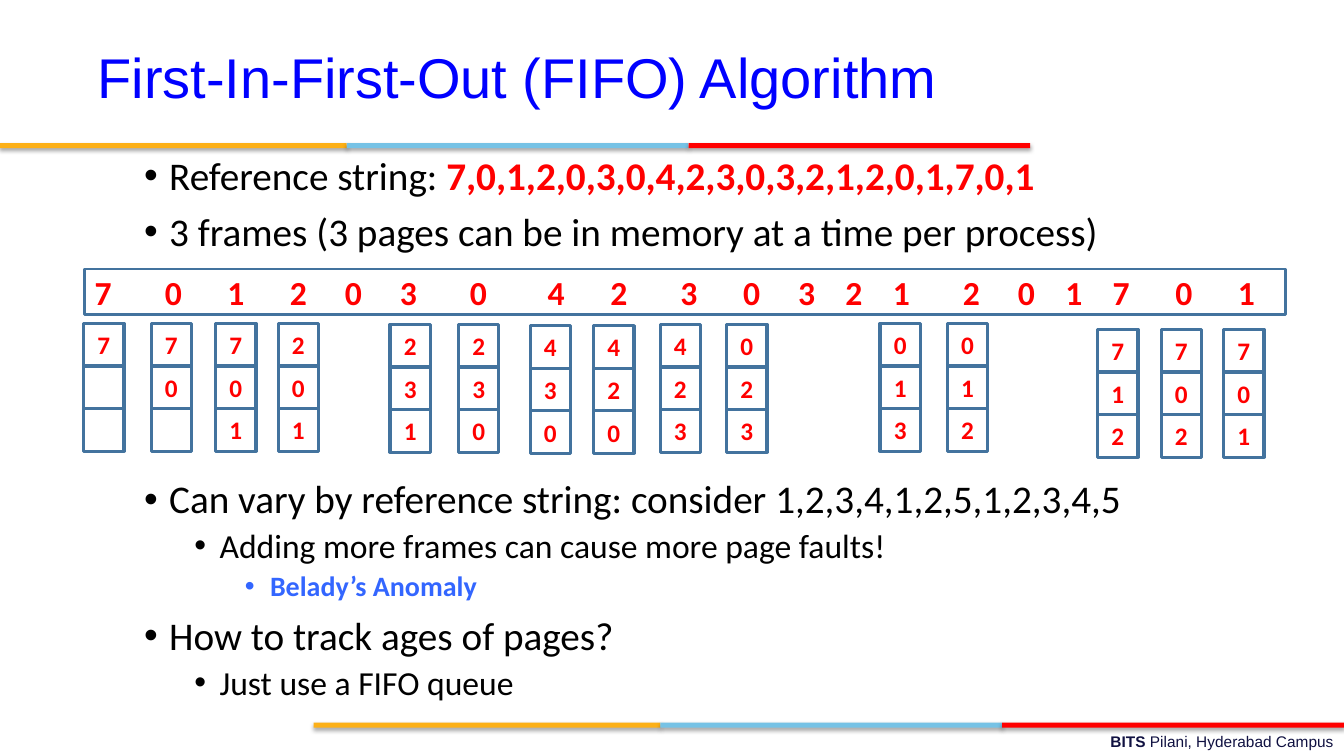
"""Builds the slide on the FIFO page replacement algorithm."""
from lxml import etree
from pptx import Presentation
from pptx.dml.color import RGBColor
from pptx.enum.shapes import MSO_SHAPE
from pptx.enum.text import MSO_ANCHOR, PP_ALIGN
from pptx.oxml import parse_xml
from pptx.oxml.ns import qn
from pptx.util import Pt

RECTANGLE = MSO_SHAPE.RECTANGLE
MIDDLE = MSO_ANCHOR.MIDDLE
LEFT, CENTER, RIGHT = PP_ALIGN.LEFT, PP_ALIGN.CENTER, PP_ALIGN.RIGHT
RED, BLACK, BLUE, BELADY_BLUE = "FF0000", "000000", "0000FF", "3366FF"
FRAME_BLUE, NAVY = "43739E", "101141"
SHADOW = (
    '<a:effectLst xmlns:a="http://schemas.openxmlformats.org/drawingml/2006/main">'
    '<a:outerShdw blurRad="39370" dist="22860" dir="5400000" rotWithShape="0">'
    '<a:srgbClr val="000000"><a:alpha val="35000"/></a:srgbClr>'
    "</a:outerShdw></a:effectLst>"
)


def color(hex_code):
    return RGBColor.from_string(hex_code)


def style(font, name, size, hex_code, bold=False):
    font.name, font.size, font.bold = name, Pt(size), bold
    font.color.rgb = color(hex_code)


prs = Presentation()
prs.slide_width, prs.slide_height = Pt(960), Pt(540)
slide = prs.slides.add_slide(prs.slide_layouts[6])
shapes = slide.shapes

BAND_SEGMENTS = [(0, 247.7, "FCB017"), (247.7, 244.1, "76C2E5"), (491.8, 244.1, RED)]
for band_left, band_top in [(0, 102.2), (224, 516.2)]:
    for offset, width, fill in BAND_SEGMENTS:
        segment = shapes.add_shape(
            RECTANGLE, Pt(band_left + offset), Pt(band_top), Pt(width), Pt(3.6))
        segment.fill.solid()
        segment.fill.fore_color.rgb = color(fill)
        segment.line.fill.background()
        segment._element.spPr.append(parse_xml(SHADOW))

campus = shapes.add_textbox(Pt(344.2), Pt(519.1), Pt(615.6), Pt(20.2))
campus.text_frame.word_wrap = True
campus_line = campus.text_frame.paragraphs[0]
campus_line.alignment = RIGHT
style(campus_line.font, "Arial", 11, NAVY)
for words, bold in [("BITS ", True), ("Pilani, Hyderabad Campus", False)]:
    run = campus_line.add_run()
    run.text, run.font.bold = words, bold

title = shapes.add_textbox(Pt(34.6), Pt(26.6), Pt(669.6), Pt(54.7))
title.text_frame.word_wrap = True
title_line = title.text_frame.paragraphs[0]
title_line.text = "First-In-First-Out (FIFO) Algorithm"
title_line.alignment = CENTER
style(title_line.font, "Arial", 40, BLUE)

REFERENCES = "7,0,1,2,0,3,0,4,2,3,0,3,2,1,2,0,1,7,0,1"
POINTS = [
    (0, 0, "Reference string: ", BLACK),
    (0, 10, "3 frames (3 pages can be in memory at a time per process)", BLACK),
    (0, 160.7, "Can vary by reference string: consider 1,2,3,4,1,2,5,1,2,3,4,5", BLACK),
    (1, 5, "Adding more frames can cause more page faults!", BLACK),
    (2, 5, "Belady’s Anomaly", BELADY_BLUE),
    (0, 10, "How to track ages of pages?", BLACK),
    (1, 5, "Just use a FIFO queue", BLACK),
]
outline = shapes.add_textbox(Pt(95.8), Pt(108), Pt(864), Pt(398.2)).text_frame
outline.word_wrap = True
for number, (level, space_before, words, hex_code) in enumerate(POINTS):
    point = outline.add_paragraph() if number else outline.paragraphs[0]
    point.level = level
    point.line_spacing = 0.9
    point.space_before = Pt(space_before)
    properties = point._p.get_or_add_pPr()
    properties.set("marL", str(Pt(18 + 36 * level)))
    properties.set("indent", str(Pt(-18)))
    bullet_color = etree.SubElement(properties, qn("a:buClr"))
    etree.SubElement(bullet_color, qn("a:srgbClr"), val=hex_code)
    etree.SubElement(properties, qn("a:buFont"), typeface="Arial")
    etree.SubElement(properties, qn("a:buChar"), char="•")
    point.add_run().text = words
    style(point.font, "Calibri", 28 - 4 * level, hex_code, level == 2)

reference_list = outline.paragraphs[0].add_run()
reference_list.text = REFERENCES
reference_list.font.bold = True
reference_list.font.color.rgb = color(RED)

strip = shapes.add_shape(RECTANGLE, Pt(60.5), Pt(192.2), Pt(857.5), Pt(32.4))
strip.shadow.inherit = False
strip.fill.background()
strip.line.color.rgb = color(FRAME_BLUE)
strip.line.width = Pt(2)
strip.text_frame.vertical_anchor = MIDDLE
strip.text_frame.word_wrap = True
strip_line = strip.text_frame.paragraphs[0]
strip_line.text = REFERENCES.replace(",", "\t")
strip_line.alignment = LEFT
tab_list = etree.SubElement(strip_line._p.get_or_add_pPr(), qn("a:tabLst"))
DIGIT_WIDTH, GAP_UNIT = 12.17, 5.42
tab_position = 0
for gap in [7, 6, 6, 5, 5, 7, 8, 6, 7, 6, 5, 4, 4, 7, 5, 4, 4, 6, 6]:
    tab_position += DIGIT_WIDTH + GAP_UNIT * gap
    etree.SubElement(tab_list, qn("a:tab"), pos=str(Pt(tab_position)), algn="l")
style(strip_line.font, "Calibri", 24, RED, True)

CELL_WIDTH, CELL_HEIGHT = 28.8, 30.4
MEMORY_STATES = [
    (59.8, 231.1, "7"), (108, 231.1, "70"), (154.1, 231.1, "701"),
    (198.7, 231.1, "201"), (278.6, 231.8, "231"), (327.6, 231.8, "230"),
    (378.7, 232.6, "430"), (424.1, 232.6, "420"), (471.6, 231.8, "423"),
    (519.1, 231.8, "023"), (628.6, 231.1, "013"), (676.8, 231.1, "012"),
    (784.1, 235.4, "712"), (829.4, 235.4, "702"), (874.1, 235.4, "701"),
]
for left, top, pages in MEMORY_STATES:
    for row in range(3):
        frame = shapes.add_shape(
            RECTANGLE, Pt(left), Pt(top + row * CELL_HEIGHT), Pt(CELL_WIDTH), Pt(CELL_HEIGHT))
        frame.shadow.inherit = False
        frame.fill.background()
        frame.line.color.rgb = color(FRAME_BLUE)
        frame.line.width = Pt(2.25)
        if row < len(pages):
            frame.text_frame.vertical_anchor = MIDDLE
            page = frame.text_frame.paragraphs[0]
            page.text = pages[row]
            page.alignment = CENTER
            style(page.font, "Calibri", 18, RED, True)

prs.save("out.pptx")
